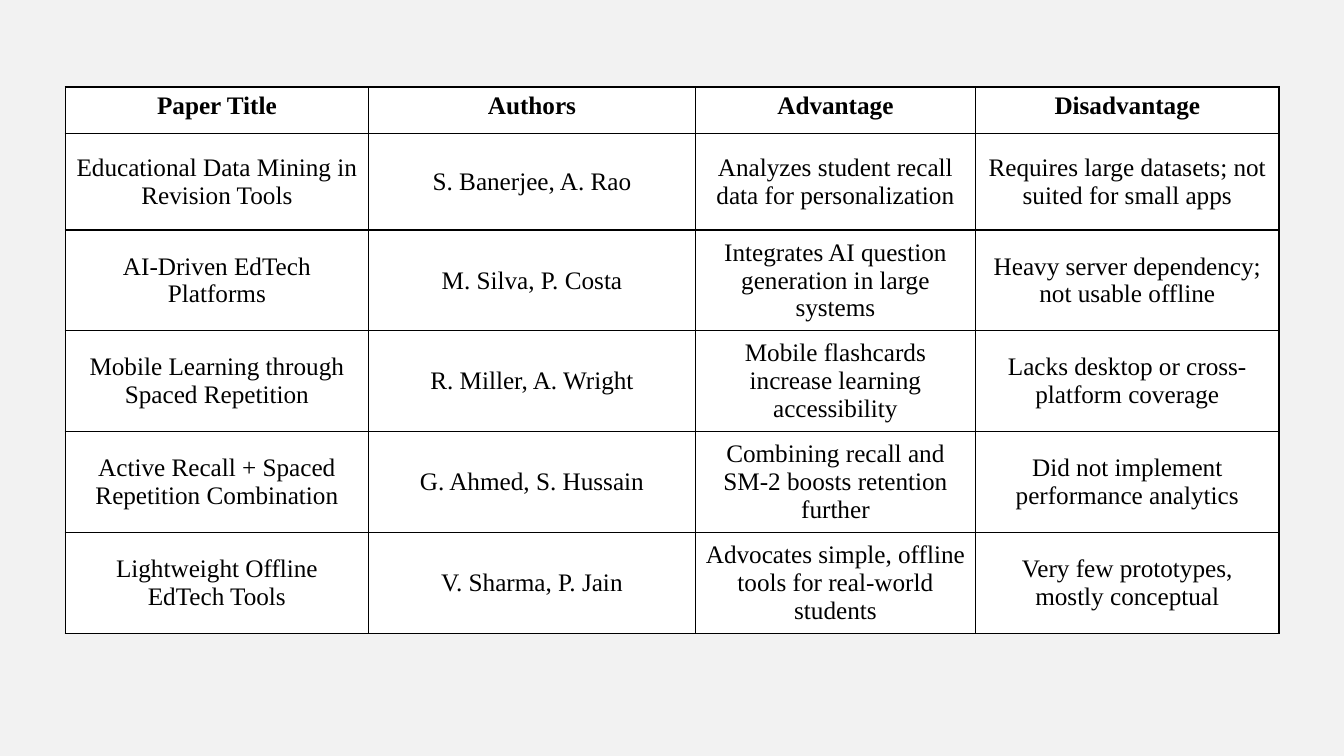
from lxml import etree
from pptx import Presentation, util as u
from pptx.dml.color import RGBColor
from pptx.enum import text
from pptx.oxml import ns

BLACK = RGBColor(0, 0, 0)
WHITE = RGBColor(255, 255, 255)
GRAY = RGBColor(0xF2, 0xF2, 0xF2)

PAPERS = [
    ("Paper Title", "Authors", "Advantage", "Disadvantage"),
    ("Educational Data Mining in Revision Tools", "S. Banerjee, A. Rao",
     "Analyzes student recall data for personalization",
     "Requires large datasets; not suited for small apps"),
    ("AI-Driven EdTech Platforms", "M. Silva, P. Costa",
     "Integrates AI question generation in large systems",
     "Heavy server dependency; not usable offline"),
    ("Mobile Learning through Spaced Repetition", "R. Miller, A. Wright",
     "Mobile flashcards increase learning accessibility",
     "Lacks desktop or cross-platform coverage"),
    ("Active Recall + Spaced Repetition Combination", "G. Ahmed, S. Hussain",
     "Combining recall and SM-2 boosts retention further",
     "Did not implement performance analytics"),
    ("Lightweight Offline EdTech Tools", "V. Sharma, P. Jain",
     "Advocates simple, offline tools for real-world students",
     "Very few prototypes, mostly conceptual"),
]


class Deck:
    """Holds the text style and the current slide, and draws tables on it."""

    def __init__(self, width, height, font, size):
        self.prs = Presentation()
        self.prs.slide_width, self.prs.slide_height = u.Inches(width), u.Inches(height)
        self.font, self.size = font, u.Pt(size)

    def slide(self, color):
        self.s = self.prs.slides.add_slide(self.prs.slide_layouts[6])
        self.s.background.fill.solid()
        self.s.background.fill.fore_color.rgb = color

    def table(self, left, top, cols, rows, data):
        x, y = int(left * self.prs.slide_width), int(top * self.prs.slide_height)
        w, h = u.Inches(sum(cols)), u.Inches(sum(rows))
        tbl = self.s.shapes.add_table(len(rows), len(cols), x, y, w, h).table
        tbl.horz_banding = False
        for col, width in zip(tbl.columns, cols):
            col.width = u.Inches(width)
        for i, (row, height) in enumerate(zip(tbl.rows, rows)):
            row.height = u.Inches(height)
            for cell, words in zip(row.cells, data[i]):
                self.cell(cell, words, header=i == 0)

    def cell(self, cell, words, header):
        anchor = text.MSO_ANCHOR
        cell.vertical_anchor = anchor.TOP if header else anchor.MIDDLE
        self.borders(cell)
        cell.fill.solid()
        cell.fill.fore_color.rgb = WHITE
        p = cell.text_frame.paragraphs[0]
        p.alignment = text.PP_ALIGN.CENTER
        r = p.add_run()
        r.text = words
        r.font.name, r.font.size, r.font.bold = self.font, self.size, header
        r.font.color.rgb = BLACK

    def borders(self, cell, points=1):
        props = cell._tc.get_or_add_tcPr()
        for side in ("lnL", "lnR", "lnT", "lnB"):
            ln = etree.SubElement(props, ns.qn(f"a:{side}"), w=str(u.Pt(points)))
            fill = etree.SubElement(ln, ns.qn("a:solidFill"))
            etree.SubElement(fill, ns.qn("a:srgbClr"), val=str(BLACK))


def main():
    deck = Deck(13.33, 7.5, "Times New Roman", 18)
    deck.slide(GRAY)
    deck.table(0.0485, 0.115, [3.01, 3.24, 2.78, 3.01], [0.46, 0.96] + [1] * 4, PAPERS)
    deck.prs.save("out.pptx")


if __name__ == "__main__":
    main()
